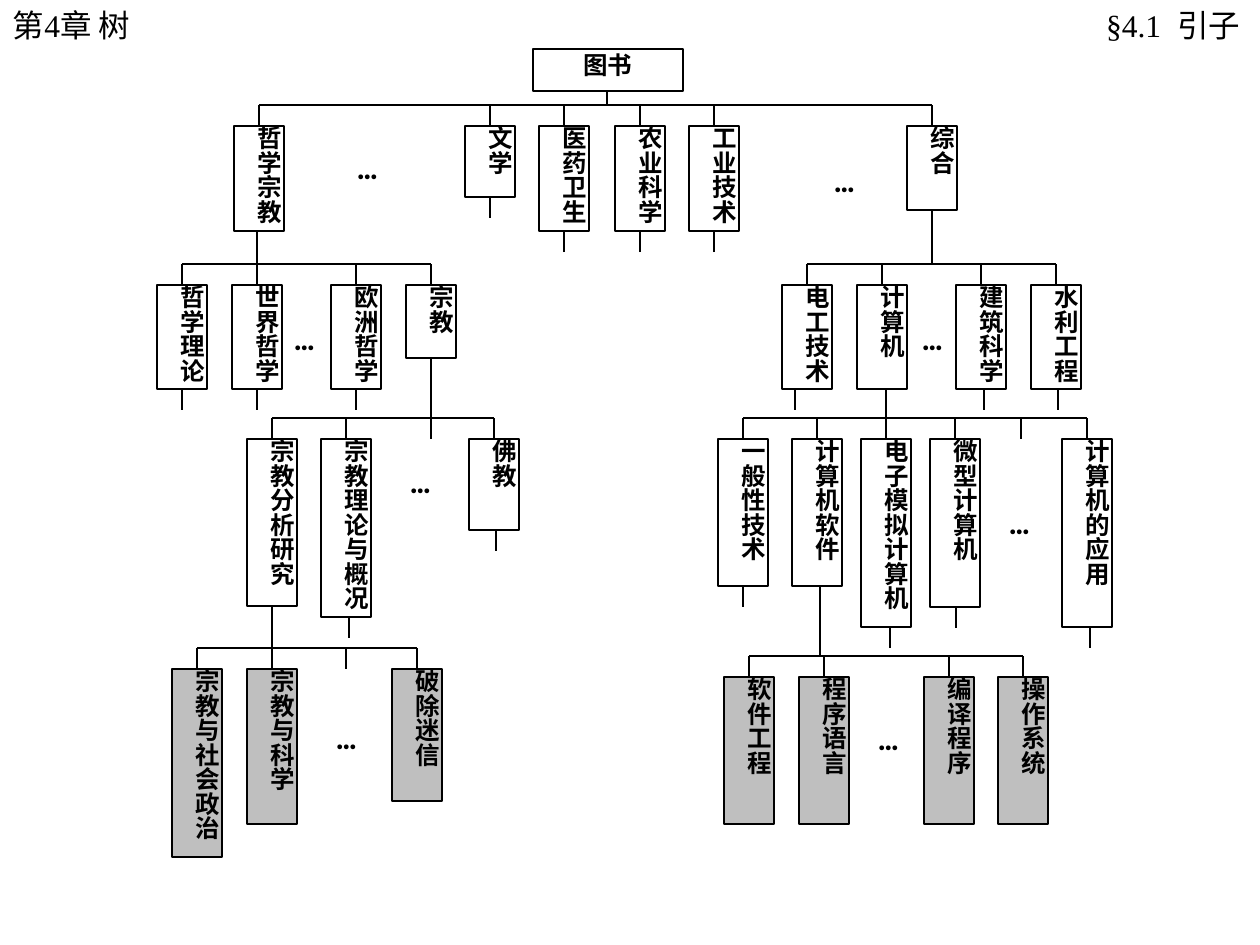
from pptx import Presentation, util as u
from pptx.dml.color import RGBColor
from pptx.enum import shapes, text
from pptx.oxml.ns import qn
from lxml import etree

PX = 914400 / 126
BLACK = RGBColor(0x00, 0x00, 0x00)
WHITE = RGBColor(0xFF, 0xFF, 0xFF)
GREY = RGBColor(0xBF, 0xBF, 0xBF)
NODE_WIDTH = 50
RISE = 21  # from the top of a row of nodes up to its bus
STUB = 21  # tail under a node whose children are not shown

prs = Presentation()
prs.slide_width, prs.slide_height = u.Inches(10), u.Inches(7.5)
slide = prs.slides.add_slide(prs.slide_layouts[6])


def add_line(x1, y1, x2, y2):
    line = slide.shapes.add_connector(
        shapes.MSO_CONNECTOR.STRAIGHT, *(round(v * PX) for v in (x1, y1, x2, y2)))
    line.line.color.rgb = BLACK
    line.line.width = u.Pt(0.75)
    etree.SubElement(line._element.spPr, qn("a:effectLst"))


def add_label(left, top, width, height, label, fill=WHITE, outlined=True,
              vertical=False, font="Calibri", inset=(0, 0)):
    """Add a rectangle with a bold label; inset is (sides, top and bottom)."""
    box = slide.shapes.add_shape(
        shapes.MSO_SHAPE.RECTANGLE, *(round(v * PX) for v in (left, top, width, height)))
    box.shadow.inherit = False
    if fill is None:
        box.fill.background()
    else:
        box.fill.solid()
        box.fill.fore_color.rgb = fill
    if outlined:
        box.line.color.rgb = BLACK
        box.line.width = u.Pt(0.75)
    else:
        box.line.fill.background()
    frame = box.text_frame
    frame.vertical_anchor = text.MSO_ANCHOR.TOP
    frame.margin_left = frame.margin_right = round(inset[0] * PX)
    frame.margin_top = frame.margin_bottom = round(inset[1] * PX)
    if vertical:
        frame._txBody.bodyPr.set("vert", "eaVert")
    frame.text = label
    paragraph = frame.paragraphs[0]
    paragraph.alignment = text.PP_ALIGN.CENTER
    run_font = paragraph.runs[0].font
    run_font.name, run_font.size, run_font.bold = font, u.Pt(14), True
    run_font.color.rgb = BLACK


# Running heads
for left, width, head, align, margins in [
    (0, 263, "第4章 树", text.PP_ALIGN.LEFT, (13, 13)),
    (1067, 193, "§4.1  引子", text.PP_ALIGN.RIGHT, (15, 20)),
]:
    box = slide.shapes.add_textbox(round(left * PX), 0, round(width * PX), round(50 * PX))
    frame = box.text_frame
    frame.word_wrap = True
    frame.margin_left, frame.margin_right = (round(m * PX) for m in margins)
    frame.text = head
    frame.paragraphs[0].alignment = align
    head_font = frame.paragraphs[0].runs[0].font
    head_font.name, head_font.size = "Times New Roman", u.Pt(18)
    head_font.color.rgb = BLACK

# Gaps between siblings
for left, top in [(355, 155), (832, 168), (292, 326), (920, 326),
                  (408, 469), (1007, 510), (334, 725), (876, 726)]:
    add_label(left, top, 25, 42, "…", outlined=False, font="Montserrat")

# Root
add_label(533, 49, 150, 42, "图书", inset=(13, 1))
add_line(607, 91, 607, 105)

# Families of siblings: top, fill, x of drops without a node, nodes.
# Node: left, height, label, x of its tail, tail length (0 for none).
FAMILIES = [
    (126, WHITE, [], [
        (234, 105, "哲学宗教", 257, 33),
        (465, 71, "文学", 490, STUB),
        (539, 105, "医药卫生", 564, STUB),
        (615, 105, "农业科学", 640, STUB),
        (689, 105, "工业技术", 714, STUB),
        (907, 84, "综合", 932, 54),
    ]),
    (285, WHITE, [], [
        (157, 104, "哲学理论", 182, STUB),
        (232, 104, "世界哲学", 257, STUB),
        (331, 104, "欧洲哲学", 356, STUB),
        (406, 73, "宗教", 431, 60),
    ]),
    (285, WHITE, [], [
        (782, 104, "电工技术", 795, STUB),
        (857, 104, "计算机", 886, 29),
        (956, 104, "建筑科学", 984, STUB),
        (1031, 104, "水利工程", 1058, STUB),
    ]),
    (439, WHITE, [431], [
        (247, 167, "宗教分析研究", 272, 42),
        (321, 178, "宗教理论与概况", 349, STUB),
        (469, 91, "佛教", 496, STUB),
    ]),
    (439, None, [1021], [
        (718, 147, "一般性技术", 743, STUB),
        (792, 147, "计算机软件", 820, 70),
        (861, 188, "电子模拟计算机", 890, STUB),
        (930, 168, "微型计算机", 956, STUB),
        (1062, 188, "计算机的应用", 1090, STUB),
    ]),
    (669, GREY, [346], [
        (172, 188, "宗教与社会政治", 0, 0),
        (247, 155, "宗教与科学", 0, 0),
        (392, 132, "破除迷信", 0, 0),
    ]),
    (677, GREY, [], [
        (724, 147, "软件工程", 0, 0),
        (799, 147, "程序语言", 0, 0),
        (924, 147, "编译程序", 0, 0),
        (998, 147, "操作系统", 0, 0),
    ]),
]

for top, fill, open_drops, nodes in FAMILIES:
    bus = top - RISE
    centres = [node[0] + NODE_WIDTH // 2 for node in nodes]
    add_line(centres[0], bus, centres[-1], bus)
    for x in centres + open_drops:
        add_line(x, top, x, bus)
    for left, height, label, tail_x, tail in nodes:
        add_label(left, top, NODE_WIDTH, height, label, fill, vertical=True)
        if tail:
            add_line(tail_x, top + height + tail, tail_x, top + height)

prs.save("out.pptx")
